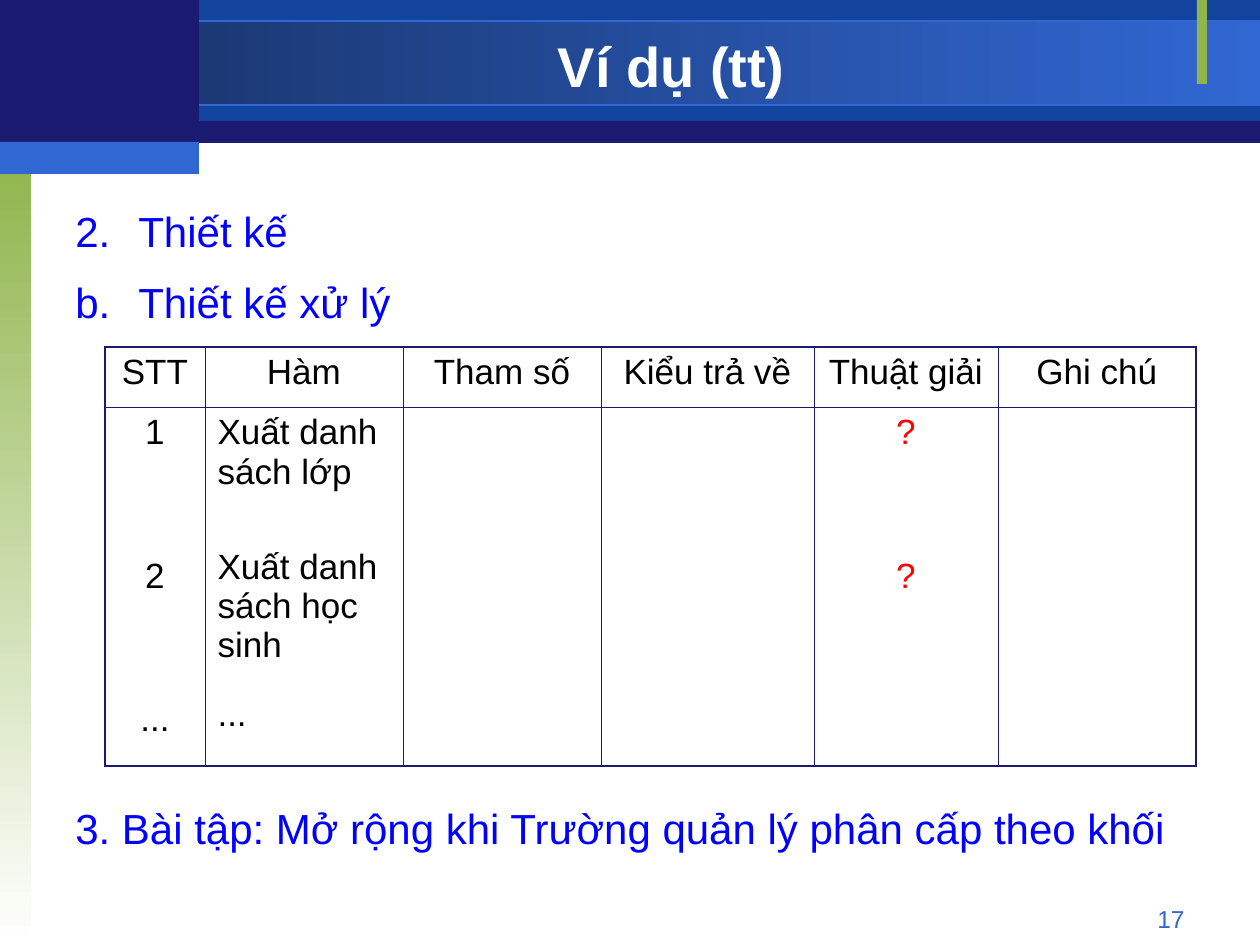
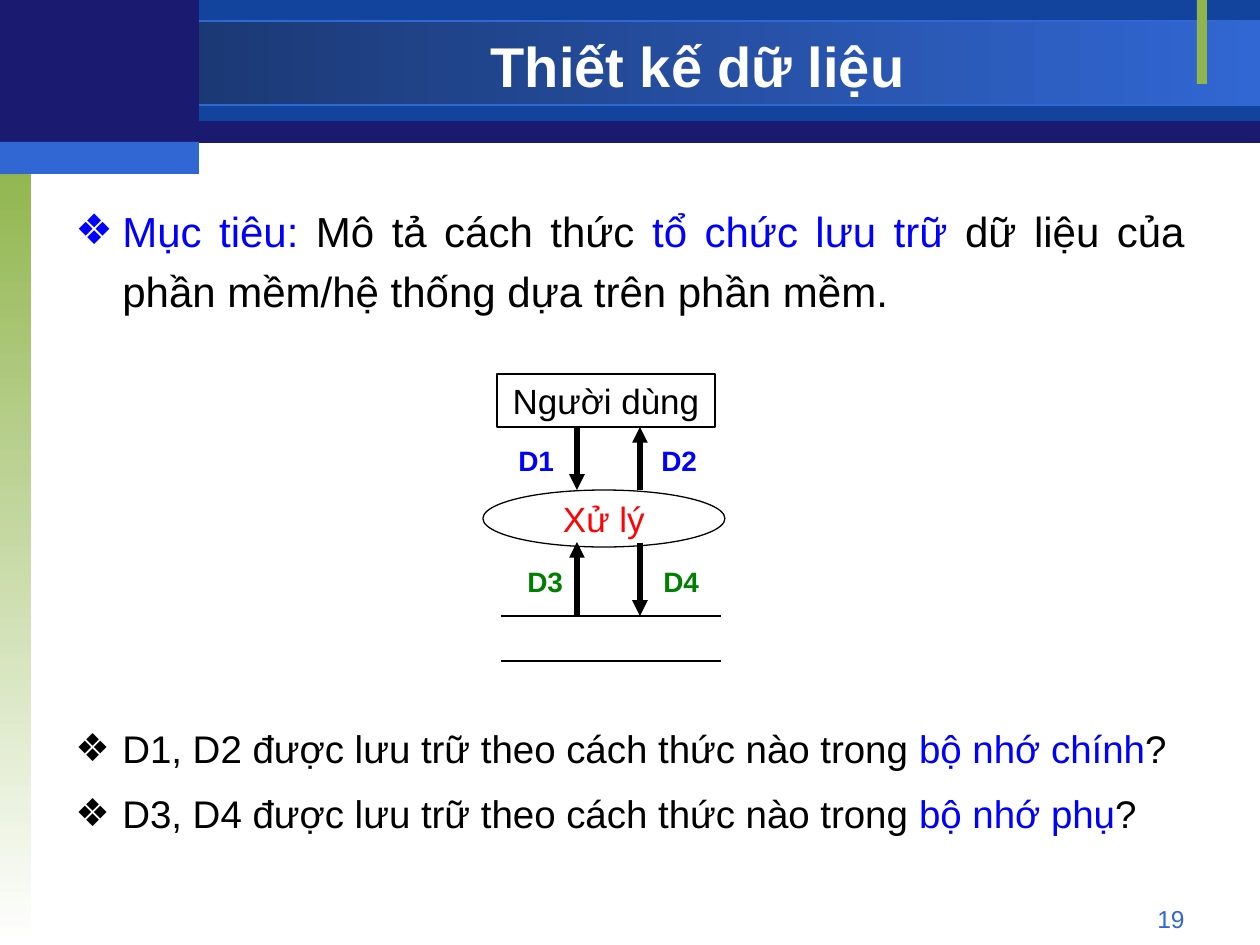
from dataclasses import dataclass

from lxml.etree import SubElement
from pptx import Presentation
from pptx.dml.color import RGBColor
from pptx.enum.shapes import MSO_CONNECTOR, MSO_SHAPE
from pptx.enum.text import MSO_ANCHOR, PP_ALIGN
from pptx.oxml.ns import qn
from pptx.util import Pt

PX = 914400 // 126


@dataclass(frozen=True)
class Theme:
    font: str = "Arial"
    navy: str = "1A1A70"
    band: str = "12449E"
    deep: str = "173062"
    sky: str = "3167D3"
    green: str = "90B54D"
    white: str = "FFFFFF"
    black: str = "000000"
    blue: str = "0000FF"
    red: str = "FF0303"
    dark_green: str = "008000"
    title: int = 32
    heading: int = 24
    question: int = 22
    cell: int = 20
    label: int = 16
    number: int = 14


theme = Theme()


def add_panel(shapes, place, fill=None, line=None, kind=MSO_SHAPE.RECTANGLE):
    """Add a flat shape; a pair of colours as fill makes a gradient."""
    panel = shapes.add_shape(kind, *[length * PX for length in place])
    panel.shadow.inherit = False
    if fill is None:
        panel.fill.background()
    elif isinstance(fill, tuple):
        panel.fill.gradient()
        for stop, color in zip(panel.fill.gradient_stops, fill):
            stop.color.rgb = RGBColor.from_string(color)
    else:
        panel.fill.solid()
        panel.fill.fore_color.rgb = RGBColor.from_string(fill)
    if line:
        panel.line.color.rgb = RGBColor.from_string(line)
        panel.line.width = Pt(0.75)
    else:
        panel.line.fill.background()
    return panel


def write_paragraph(frame, spans, size, align=PP_ALIGN.LEFT, bold=False):
    """Write (text, colour) spans into the first empty or a new paragraph."""
    para = frame.paragraphs[0]
    if para.runs:
        para = frame.add_paragraph()
    para.alignment = align
    for text, color in spans:
        span = para.add_run()
        span.text = text
        span.font.name = theme.font
        span.font.size = Pt(size)
        span.font.bold = bold
        span.font.color.rgb = RGBColor.from_string(color)
    return para


deck = Presentation()
deck.slide_width, deck.slide_height = 1260 * PX, 945 * PX

# Each body block: top, text size, space before, indent, [(bullet, spans)].
# A bullet is a numbering scheme, a character or None.
pages_content = [
    ("Ví dụ (tt)", 945, "17", [
        (189, theme.heading, 6, 63, [
            ("arabicPeriod", [("Thiết kế", theme.blue)]),
            ("alphaLcPeriod", [("Thiết kế xử lý", theme.blue)]),
        ]),
        (786, theme.heading, 6, 0, [
            (None, [("3. Bài tập: Mở rộng khi Trường quản lý phân cấp theo khối", theme.blue)]),
        ]),
    ]),
    ("Thiết kế dữ liệu", 998, "19", [
        (189, theme.heading, 6, 47, [
            ("❖", [
                ("Mục tiêu:", theme.blue),
                (" Mô tả cách thức ", theme.black),
                ("tổ chức lưu trữ", theme.blue),
                (" dữ liệu của phần mềm/hệ thống dựa trên phần mềm.", theme.black),
            ]),
        ]),
        (710, theme.question, 5.5, 47, [
            ("❖", [
                (f"{flows} được lưu trữ theo cách thức nào trong ", theme.black),
                (memory, theme.blue),
                ("?", theme.black),
            ])
            for flows, memory in [("D1, D2", "bộ nhớ chính"), ("D3, D4", "bộ nhớ phụ")]
        ]),
    ]),
]

# Shared frame, title, number and body text
pages = []
for title, title_width, number, blocks in pages_content:
    page = deck.slides.add_slide(deck.slide_layouts[6])
    pages.append(page)
    add_panel(page.shapes, (0, 1, 1260, 142), theme.navy)
    add_panel(page.shapes, (199, 0, 1061, 121), theme.band)
    title_band = add_panel(page.shapes, (0, 21, 1260, 84), (theme.deep, theme.sky), theme.sky)
    title_band.fill.gradient_angle = 0
    side_band = add_panel(page.shapes, (0, 158, 31, 787), (theme.green, theme.white))
    side_band.fill.gradient_angle = 270
    add_panel(page.shapes, (1197, 0, 10, 84), theme.green)
    add_panel(page.shapes, (0, 0, 199, 147), theme.navy)
    add_panel(page.shapes, (0, 142, 199, 32), theme.sky)

    number_box = page.shapes.add_textbox(903 * PX, 898 * PX, 294 * PX, 34 * PX)
    number_box.text_frame.word_wrap = True
    write_paragraph(number_box.text_frame, [(number, theme.sky)], theme.number, PP_ALIGN.RIGHT)

    title_box = page.shapes.add_textbox(199 * PX, 29 * PX, title_width * PX, 73 * PX)
    title_box.text_frame.word_wrap = True
    title_box.text_frame.vertical_anchor = MSO_ANCHOR.MIDDLE
    write_paragraph(title_box.text_frame, [(title, theme.white)], theme.title,
                    PP_ALIGN.CENTER, bold=True)

    for top, size, space_before, indent, items in blocks:
        body = page.shapes.add_textbox(63 * PX, top * PX, 1134 * PX, 65 * len(items) * PX)
        body.text_frame.word_wrap = True
        for bullet, spans in items:
            para = write_paragraph(body.text_frame, spans, size, PP_ALIGN.JUSTIFY)
            para.line_spacing = 1.2
            para.space_before = Pt(space_before)
            if bullet is None:
                continue
            properties = para._p.get_or_add_pPr()
            properties.set("marL", str(indent * PX))
            properties.set("indent", str(-indent * PX))
            bullet_color = SubElement(properties, qn("a:buClr"))
            SubElement(bullet_color, qn("a:srgbClr"), val=spans[0][1])
            SubElement(properties, qn("a:buFont"), typeface=theme.font)
            if bullet == "❖":
                SubElement(properties, qn("a:buChar"), char=bullet)
            else:
                SubElement(properties, qn("a:buAutoNum"), type=bullet, startAt="2")

# Table of functions
column_widths = [100, 198, 198, 213, 184, 198]
row_heights = [60, 359]
headers = ["STT", "Hàm", "Tham số", "Kiểu trả về", "Thuật giải", "Ghi chú"]
# Column: colour, alignment, [(text, space before)]
function_cells = {
    0: (theme.black, PP_ALIGN.CENTER, [("1", 5), ("2", 59.5), ("...", 59.5)]),
    1: (theme.black, PP_ALIGN.LEFT, [
        ("Xuất danh sách lớp", 5), ("Xuất danh sách học sinh", 32), ("...", 17.5)]),
    4: (theme.red, PP_ALIGN.CENTER, [("?", 5), ("?", 59.5)]),
}
table = pages[0].shapes.add_table(
    2, 6, 105 * PX, 347 * PX, sum(column_widths) * PX, sum(row_heights) * PX).table
table.first_row = table.horz_banding = False
for column, width in zip(table.columns, column_widths):
    column.width = width * PX
for row, height in zip(table.rows, row_heights):
    row.height = height * PX
for column_index, header in enumerate(headers):
    write_paragraph(table.cell(0, column_index).text_frame, [(header, theme.black)],
                    theme.cell, PP_ALIGN.CENTER)
for column_index, (color, align, entries) in function_cells.items():
    for text, space_before in entries:
        para = write_paragraph(table.cell(1, column_index).text_frame, [(text, color)],
                               theme.cell, align)
        para.space_before = Pt(space_before)
for row_index in range(2):
    for column_index in range(6):
        cell = table.cell(row_index, column_index)
        properties = cell._tc.get_or_add_tcPr()
        outer_sides = {"lnL": column_index == 0, "lnR": column_index == 5,
                       "lnT": row_index == 0, "lnB": row_index == 1}
        for side, outer in outer_sides.items():
            border = SubElement(properties, qn(f"a:{side}"), w=str(Pt(1.08 if outer else 0.45)))
            border_fill = SubElement(border, qn("a:solidFill"))
            SubElement(border_fill, qn("a:srgbClr"), val=theme.navy)
        cell.fill.background()

# Data flow diagram
diagram = pages[1].shapes.add_group_shape().shapes
nodes = [
    ("Người dùng", theme.black, MSO_SHAPE.RECTANGLE, (497, 374, 218, 53)),
    ("Xử lý", theme.red, MSO_SHAPE.OVAL, (483, 490, 242, 57)),
]
for text, color, kind, place in nodes:
    node = add_panel(diagram, place, line=theme.black, kind=kind)
    node.text_frame.word_wrap = False
    node.text_frame.vertical_anchor = MSO_ANCHOR.MIDDLE
    write_paragraph(node.text_frame, [(text, color)], theme.cell, PP_ALIGN.CENTER)

# Begin x, begin y, end x, end y, is an arrow
lines = [
    (501, 616, 721, 616, False),
    (501, 661, 721, 661, False),
    (577, 427, 577, 490, True),
    (640, 490, 640, 427, True),
    (577, 615, 577, 542, True),
    (640, 543, 640, 616, True),
]
for *ends, is_arrow in lines:
    line = diagram.add_connector(MSO_CONNECTOR.STRAIGHT, *[length * PX for length in ends])
    line.line.color.rgb = RGBColor.from_string(theme.black)
    line.line.width = Pt(3 if is_arrow else 0.75)
    if is_arrow:
        SubElement(line.line._get_or_add_ln(), qn("a:tailEnd"), type="triangle")
    SubElement(line._element.spPr, qn("a:effectLst"))

flow_labels = [
    ("D1", theme.blue, 506, 437),
    ("D2", theme.blue, 649, 437),
    ("D3", theme.dark_green, 515, 558),
    ("D4", theme.dark_green, 651, 558),
]
for text, color, left, top in flow_labels:
    label = diagram.add_textbox(left * PX, top * PX, 61 * PX, 47 * PX)
    label.text_frame.word_wrap = False
    write_paragraph(label.text_frame, [(text, color)], theme.label, bold=True)

deck.save("out.pptx")
